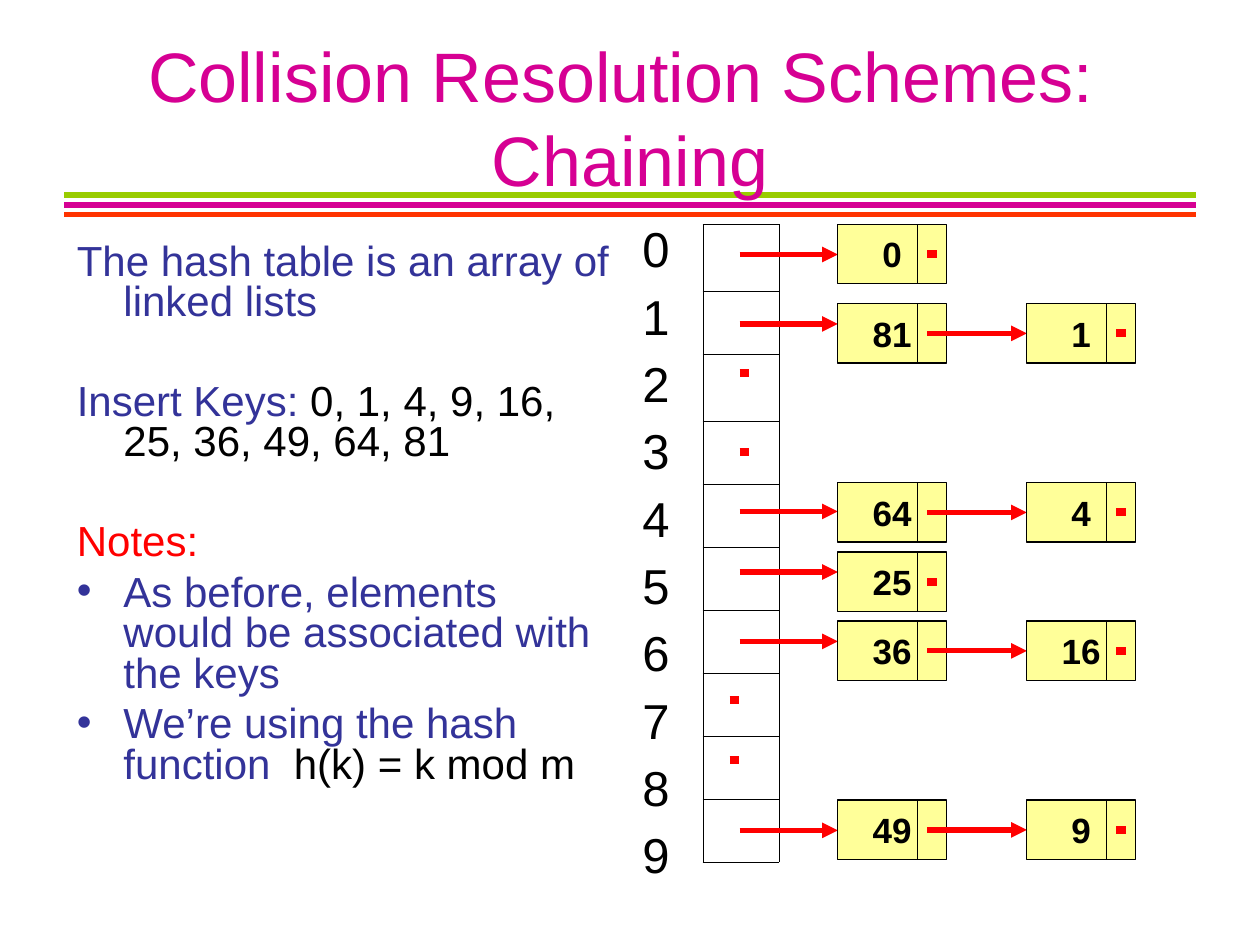
from dataclasses import dataclass

from lxml.etree import SubElement
from pptx import Presentation
from pptx.dml.color import RGBColor
from pptx.enum.shapes import MSO_CONNECTOR as Connector, MSO_SHAPE as Shape
from pptx.enum.text import MSO_ANCHOR as Anchor, PP_ALIGN as Align
from pptx.oxml.ns import qn
from pptx.slide import Slide
from pptx.util import Cm, Pt


@dataclass(frozen=True)
class Theme:
    font: str = "Arial"
    magenta: str = "D60093"
    orange: str = "FF3300"
    green: str = "99CC00"
    blue: str = "333399"
    red: str = "FF0000"
    black: str = "000000"
    yellow: str = "FFFF99"
    title_size: float = 40
    body_size: float = 24
    index_size: float = 28
    key_size: float = 20
    thin: float = 0.75
    thick: float = 3
    dash: float = 4.5
    grid: float = 0.23


@dataclass(frozen=True)
class Note:
    spans: tuple[tuple[str, str], ...]  # text and colour
    before: float = 6
    bullet: bool = False


@dataclass(frozen=True)
class Slot:
    pointer_y: float
    node_top: float = 0
    keys: tuple[int, ...] = ()
    pointer_x: float = 14.91


THEME = Theme()
SECTION_GAP = 34  # one empty line plus the usual paragraph space

NOTES = (
    Note((("The hash table is an array of linked lists", THEME.blue),), before=0),
    Note((("Insert Keys: ", THEME.blue),
          ("0, 1, 4, 9, 16, 25, 36, 49, 64, 81", THEME.black)), before=SECTION_GAP),
    Note((("Notes:", THEME.red),), before=SECTION_GAP),
    Note((("As before, elements would be associated with the keys", THEME.blue),), bullet=True),
    Note((("We’re using the hash function  ", THEME.blue),
          ("h(k) = k mod m", THEME.black)), bullet=True),
)

SLOTS = (
    Slot(5.13, 4.52, (0,)),
    Slot(6.53, 6.12, (81, 1)),
    Slot(7.52),
    Slot(9.12),
    Slot(10.31, 9.73, (64, 4)),
    Slot(11.53, 11.13, (25,)),
    Slot(12.93, 12.52, (36, 16)),
    Slot(14.12, pointer_x=14.71),
    Slot(15.32, pointer_x=14.71),
    Slot(16.74, 16.13, (49, 9)),
)

# Node geometry in centimetres
NODE_LEFT, NODE_PITCH = 16.89, 3.81
NODE_WIDTH, NODE_HEIGHT = 2.19, 1.2
DIVIDER, LINK = 1.6, 1.8
DASH_LENGTH = 0.19


def style_span(span, size: float, color: str, bold: bool = False) -> None:
    span.font.name = THEME.font
    span.font.size = Pt(size)
    span.font.bold = bold
    span.font.color.rgb = RGBColor.from_string(color)


def add_line(page: Slide, x1: float, y1: float, x2: float, y2: float,
             color: str, width: float, arrow: bool = False) -> None:
    line = page.shapes.add_connector(Connector.STRAIGHT, Cm(x1), Cm(y1), Cm(x2), Cm(y2))
    line.line.color.rgb = RGBColor.from_string(color)
    line.line.width = Pt(width)
    if arrow:
        SubElement(line.line._get_or_add_ln(), qn("a:tailEnd"), type="triangle")
    SubElement(line._element.spPr, qn("a:effectLst"))


def add_null(page: Slide, x: float, y: float) -> None:
    add_line(page, x, y, x + DASH_LENGTH, y, THEME.red, THEME.dash)


def add_title(page: Slide, text: str) -> None:
    box = page.shapes.add_textbox(Cm(1.27), Cm(0.76), Cm(22.86), Cm(3.18))
    frame = box.text_frame
    frame.word_wrap = True
    frame.vertical_anchor = Anchor.MIDDLE
    frame.text = text
    para = frame.paragraphs[0]
    para.alignment = Align.CENTER
    style_span(para.runs[0], THEME.title_size, THEME.magenta)


def add_bullet(properties) -> None:
    color = SubElement(properties, qn("a:buClr"))
    SubElement(color, qn("a:srgbClr"), val=THEME.blue)
    SubElement(properties, qn("a:buFont"), typeface=THEME.font)
    SubElement(properties, qn("a:buChar"), char="•")


def add_notes(page: Slide, notes: tuple[Note, ...]) -> None:
    frame = page.shapes.add_textbox(Cm(1.3), Cm(4.72), Cm(11.23), Cm(14.33)).text_frame
    frame.word_wrap = True
    frame.margin_top = Cm(0.2)
    for index, note in enumerate(notes):
        para = frame.add_paragraph() if index else frame.paragraphs[0]
        para.line_spacing = 0.8
        para.space_before = Pt(note.before)
        properties = para._p.get_or_add_pPr()
        properties.set("marL", str(Cm(0.94)))
        properties.set("indent", str(Cm(-0.94)))
        if note.bullet:
            add_bullet(properties)
        for text, color in note.spans:
            span = para.add_run()
            span.text = text
            style_span(span, THEME.body_size, color)


def add_column(page: Slide, left: float, top: float, width: float, heights: list[float]):
    """Add a plain one-column table and return its cells."""
    table = page.shapes.add_table(len(heights), 1, Cm(left), Cm(top),
                                  Cm(width), Cm(sum(heights))).table
    table.first_row = table.horz_banding = False
    for row, height in zip(table.rows, heights):
        row.height = Cm(height)
    cells = list(table.iter_cells())
    for cell in cells:
        cell.fill.background()
    return cells


def set_borders(cell, color: str, width: float) -> None:
    properties = cell._tc.get_or_add_tcPr()
    for position, side in enumerate(("lnL", "lnR", "lnT", "lnB")):
        border = properties.makeelement(qn(f"a:{side}"), {"w": str(Pt(width))})
        fill = SubElement(border, qn("a:solidFill"))
        SubElement(fill, qn("a:srgbClr"), val=color)
        properties.insert(position, border)


def add_index(page: Slide) -> None:
    for index, cell in enumerate(add_column(page, 12.9, 4.45, 3.2, [1.355] * len(SLOTS))):
        cell.margin_left, cell.margin_right = Cm(0.05), Cm(0.2)
        cell.text_frame.text = str(index)
        para = cell.text_frame.paragraphs[0]
        para.line_spacing = 0.93
        style_span(para.runs[0], THEME.index_size, THEME.black)


def add_array(page: Slide) -> None:
    heights = [1.35 if index in (0, 2) else 1.27 for index in range(len(SLOTS))]
    for cell in add_column(page, 14.17, 4.52, 1.53, heights):
        set_borders(cell, THEME.black, THEME.grid)


def add_node(page: Slide, left: float, top: float, key: int, is_last: bool) -> None:
    node = page.shapes.add_shape(Shape.RECTANGLE, Cm(left), Cm(top),
                                 Cm(NODE_WIDTH), Cm(NODE_HEIGHT))
    node.shadow.inherit = False
    node.fill.solid()
    node.fill.fore_color.rgb = RGBColor.from_string(THEME.yellow)
    node.line.color.rgb = RGBColor.from_string(THEME.black)
    node.line.width = Pt(THEME.thin)
    frame = node.text_frame
    frame.word_wrap = False
    frame.vertical_anchor = Anchor.MIDDLE
    frame.text = str(key)
    frame.paragraphs[0].alignment = Align.CENTER
    style_span(frame.paragraphs[0].runs[0], THEME.key_size, THEME.black, bold=True)

    divider = left + DIVIDER
    add_line(page, divider, top, divider, top + NODE_HEIGHT, THEME.black, THEME.thin)
    link, middle = left + LINK, top + NODE_HEIGHT / 2
    if is_last:
        add_null(page, link, middle)
    else:
        add_line(page, link, middle, left + NODE_PITCH, middle, THEME.red, THEME.thick, arrow=True)


def add_chain(page: Slide, slot: Slot) -> None:
    if not slot.keys:
        add_null(page, slot.pointer_x, slot.pointer_y)
        return
    add_line(page, slot.pointer_x, slot.pointer_y, NODE_LEFT, slot.pointer_y,
             THEME.red, THEME.thick, arrow=True)
    for index, key in enumerate(slot.keys):
        add_node(page, NODE_LEFT + index * NODE_PITCH, slot.node_top, key,
                 is_last=index == len(slot.keys) - 1)


def main() -> None:
    deck = Presentation()
    deck.slide_width, deck.slide_height = Cm(25.4), Cm(19.05)
    page = deck.slides.add_slide(deck.slide_layouts[6])

    # Rules under the title
    for index, color in enumerate((THEME.green, THEME.magenta, THEME.orange)):
        y = 3.93 + index * 0.2
        add_line(page, 1.3, y, 24.1, y, color, THEME.thick)

    # Title and notes
    add_title(page, "Collision Resolution Schemes:  Chaining")
    add_notes(page, NOTES)

    # Hash table with its chains
    add_index(page)
    add_array(page)
    for slot in SLOTS:
        add_chain(page, slot)

    deck.save("out.pptx")


if __name__ == "__main__":
    main()
